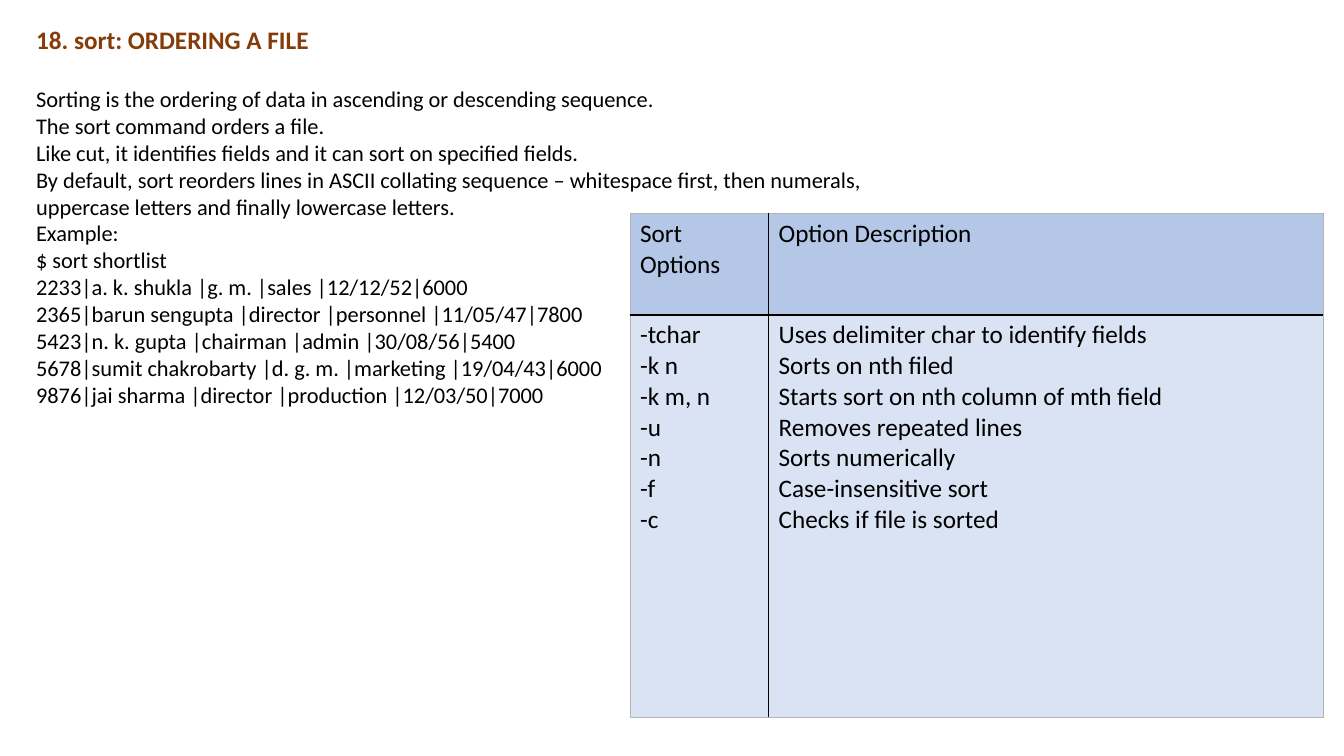
import pptx
import pptx.util
import pptx.dml.color
import pptx.oxml
import pptx.oxml.ns

Pt = pptx.util.Pt
RGB = pptx.dml.color.RGBColor

BROWN = RGB(0x84, 0x3C, 0x0B)
BLACK = RGB(0, 0, 0)
GRAY = RGB(0xB4, 0xB4, 0xB4)
HEAD = RGB(0xB4, 0xC7, 0xE7)
BODY = RGB(0xDA, 0xE3, 0xF3)

TITLE = "18. sort: ORDERING A FILE"
LINES = [
    "Sorting is the ordering of data in ascending or descending sequence.",
    "The sort command orders a file.",
    "Like cut, it identifies fields and it can sort on specified fields.",
    "By default, sort reorders lines in ASCII collating sequence – whitespace first, then numerals,",
    "uppercase letters and finally lowercase letters.",
    "Example:",
    "$ sort shortlist",
    "2233|a. k. shukla |g. m. |sales |12/12/52|6000",
    "2365|barun sengupta |director |personnel |11/05/47|7800",
    "5423|n. k. gupta |chairman |admin |30/08/56|5400",
    "5678|sumit chakrobarty |d. g. m. |marketing |19/04/43|6000",
    "9876|jai sharma |director |production |12/03/50|7000",
]
NAMES = ("Sort Options", "Option Description")
FLAGS = [
    ("-tchar", "Uses delimiter char to identify fields"),
    ("-k n", "Sorts on nth filed"),
    ("-k m, n", "Starts sort on nth column of mth field"),
    ("-u", "Removes repeated lines"),
    ("-n", "Sorts numerically"),
    ("-f", "Case-insensitive sort"),
    ("-c", "Checks if file is sorted"),
]


def write(frame, text, size=18, color=BLACK, bold=False, gap=0):
    """Add one paragraph, filling the first one while it is empty."""
    para = frame.paragraphs[0]
    if para.runs:
        para = frame.add_paragraph()
    if gap:
        para.space_before = Pt(gap)
    run = para.add_run()
    run.text = text
    font = run.font
    font.name, font.size, font.bold = "Calibri", Pt(size), bold
    font.color.rgb = color


def edge(cell, side, color, width):
    """Draw one border of a cell; call before the fill is set."""
    line = pptx.oxml.parse_xml(
        f'<a:{side} {pptx.oxml.ns.nsdecls("a")} w="{Pt(width)}">'
        f'<a:solidFill><a:srgbClr val="{color}"/></a:solidFill></a:{side}>')
    cell._tc.get_or_add_tcPr().append(line)


def notes(slide, left, top, width, height):
    box = slide.shapes.add_textbox(Pt(left), Pt(top), Pt(width), Pt(height))
    frame = box.text_frame
    frame.word_wrap = True
    write(frame, TITLE, color=BROWN, bold=True)
    for i, line in enumerate(LINES):
        write(frame, line, size=16, gap=0 if i else 22)


def options(slide, left, top, width, height):
    table = slide.shapes.add_table(
        2, 2, Pt(left), Pt(top), Pt(width), Pt(height)).table
    table.first_row = table.horz_banding = False
    # One fifth of the width and height goes to the flags and the header
    for parts, full in ((table.columns, width), (table.rows, height)):
        for part, share in zip(parts, (0.2, 0.8)):
            if parts is table.columns:
                part.width = Pt(full * share)
            else:
                part.height = Pt(full * share)
    for row, fill in enumerate((HEAD, BODY)):
        for col in range(2):
            cell = table.cell(row, col)
            # Inner rules are black, the outer frame is gray
            inner = {"lnR": col == 0, "lnL": col == 1,
                     "lnB": row == 0, "lnT": row == 1}
            for side in ("lnL", "lnR", "lnT", "lnB"):
                wide = 1.5 if side in ("lnT", "lnB") else 1
                if inner[side]:
                    edge(cell, side, BLACK, wide)
                else:
                    edge(cell, side, GRAY, 0.75)
            cell.fill.solid()
            cell.fill.fore_color.rgb = fill
            texts = [flag[col] for flag in FLAGS] if row else [NAMES[col]]
            for text in texts:
                write(cell.text_frame, text)


def main():
    deck = pptx.Presentation()
    deck.slide_width, deck.slide_height = Pt(960), Pt(540)
    slide = deck.slides.add_slide(deck.slide_layouts[6])
    notes(slide, 18.7, 13.7, 926, 303)
    options(slide, 450, 152.8, 495, 360)
    deck.save("out.pptx")


if __name__ == "__main__":
    main()
